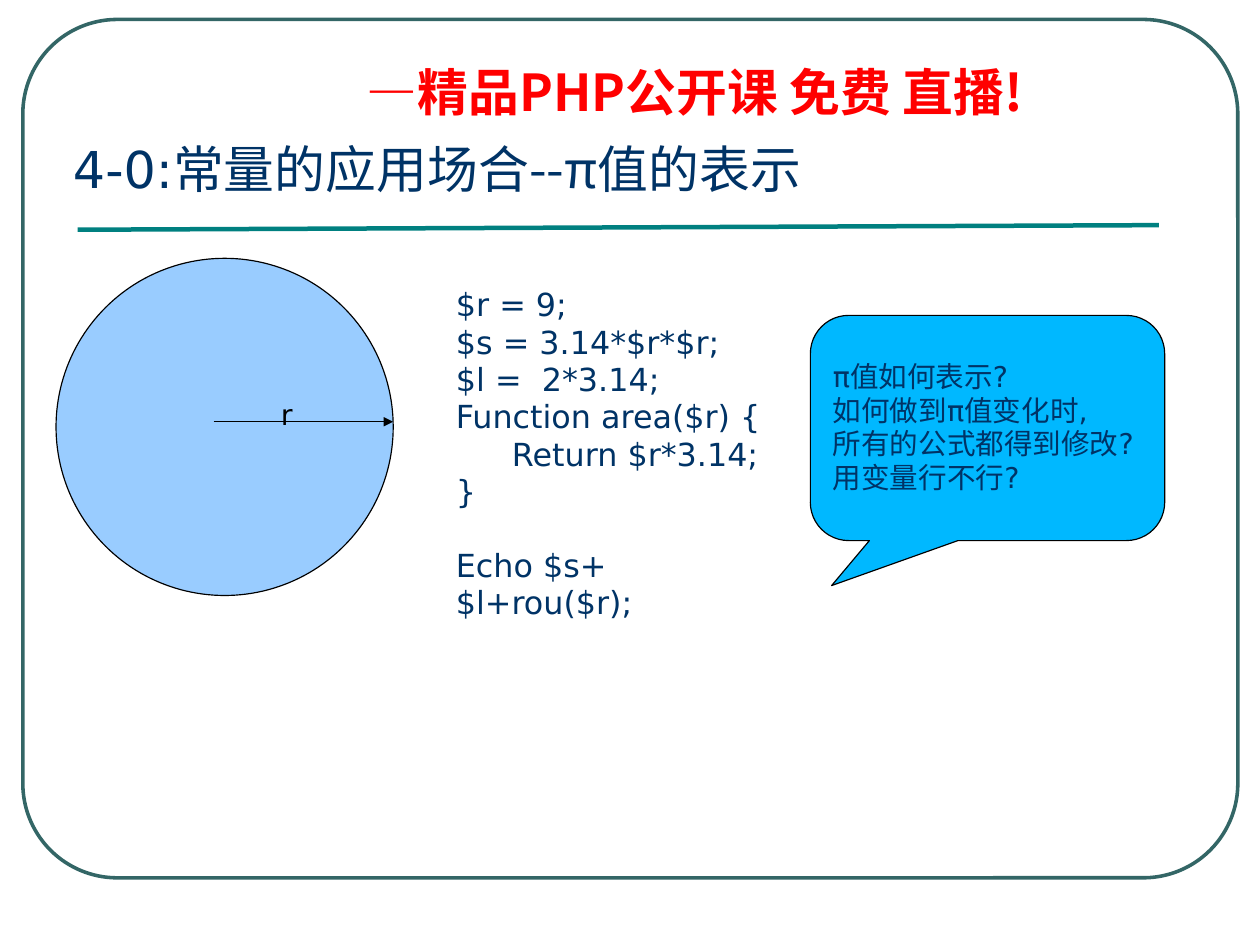
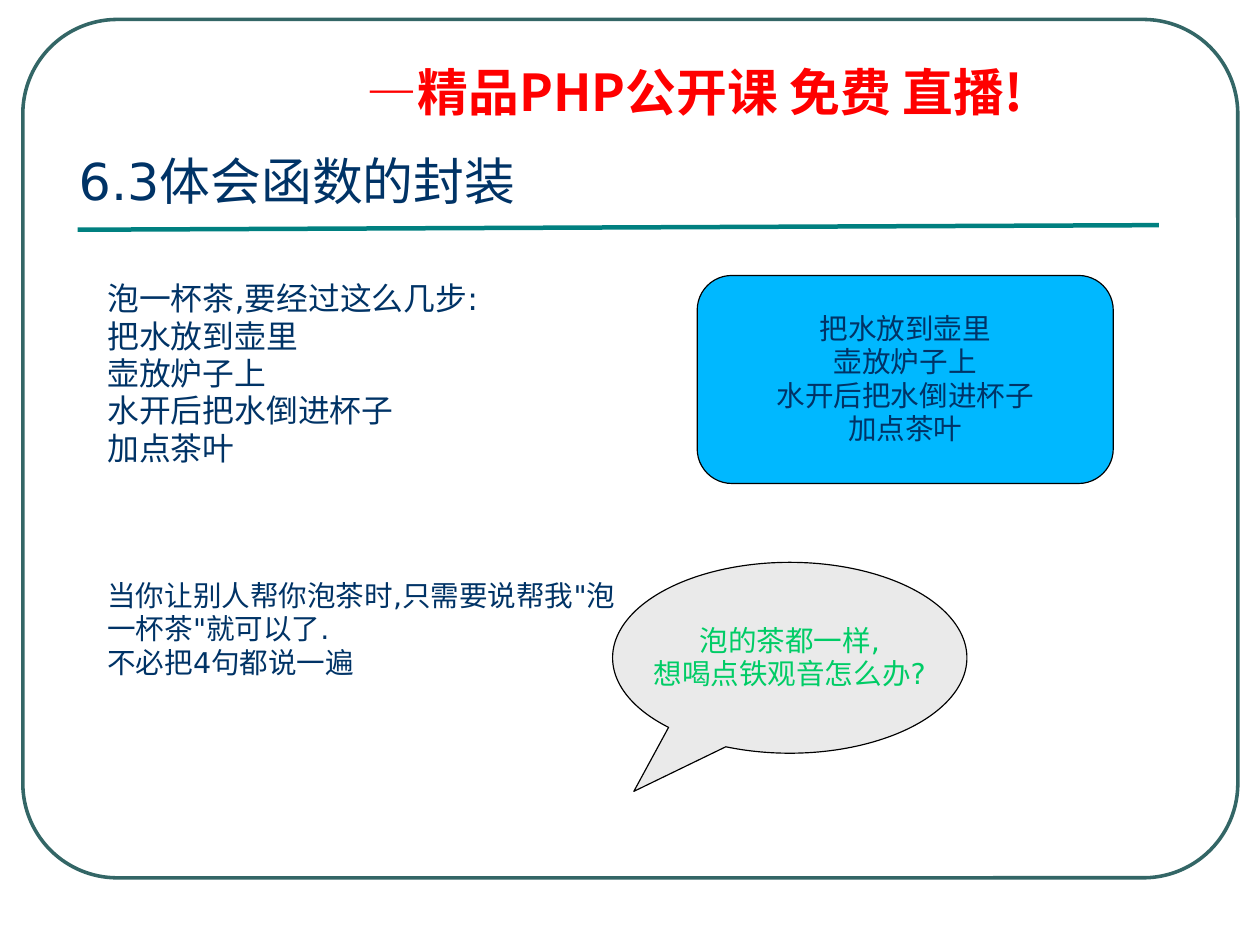
from lxml.etree import SubElement
from pptx import Presentation
from pptx.dml.color import RGBColor
from pptx.enum.shapes import MSO_CONNECTOR as Link, MSO_SHAPE as Kind
from pptx.enum.text import MSO_ANCHOR as Anchor, PP_ALIGN as Align
from pptx.oxml.ns import qn
from pptx.util import Inches, Pt

SANS = "DejaVu Sans"
CJK = "Noto Sans CJK SC"
NAVY, BLACK, RED = "003366", "000000", "FF0000"
TEAL, FRAME, SKY = "008080", "336666", "00B8FF"
PALE, GREY, GREEN = "99CCFF", "EAEAEA", "00CC66"
TAIL = (-0.44, 0.7)  # tip of both speech bubbles
WIDE, HIGH = 28 / 2.54, 21 / 2.54  # 28 by 21 cm, in inches


def color(code):
    return RGBColor.from_string(code)


def add_run(para, text, size, tint=NAVY, font=SANS, bold=False):
    run = para.add_run()
    run.text = text
    run.font.size = Pt(size)
    run.font.name = font
    run.font.bold = bold
    run.font.color.rgb = color(tint)
    SubElement(run._r.get_or_add_rPr(), qn("a:ea"), typeface=CJK)


def indent(para, left, first=0):
    props = para._p.get_or_add_pPr()
    props.set("marL", str(Inches(left)))
    props.set("indent", str(Inches(first)))


def write(frame, lines, size, tint=NAVY, align=Align.LEFT):
    """Put each line in a paragraph of its own and return the paragraphs."""
    paras = []
    for i, line in enumerate(lines):
        para = frame.add_paragraph() if i else frame.paragraphs[0]
        para.alignment = align
        para.line_spacing = 0.98
        add_run(para, line, size, tint)
        paras.append(para)
    return paras


def add_box(slide, x, y, w, h, anchor=Anchor.TOP):
    box = slide.shapes.add_textbox(Inches(x), Inches(y), Inches(w), Inches(h))
    frame = box.text_frame
    frame.word_wrap = True
    frame.vertical_anchor = anchor
    return frame


def add_form(slide, kind, x, y, w, h, fill=None, line=BLACK, width=0.75, adjust=()):
    form = slide.shapes.add_shape(kind, Inches(x), Inches(y), Inches(w), Inches(h))
    form.shadow.inherit = False
    if fill:
        form.fill.solid()
        form.fill.fore_color.rgb = color(fill)
    else:
        form.fill.background()
    form.line.color.rgb = color(line)
    form.line.width = Pt(width)
    for i, value in enumerate(adjust):
        form.adjustments[i] = value
    frame = form.text_frame
    frame.word_wrap = False
    frame.vertical_anchor = Anchor.MIDDLE
    return frame


def add_line(slide, start, end, tint, width, arrow=False):
    ends = [Inches(v) for v in (*start, *end)]
    line = slide.shapes.add_connector(Link.STRAIGHT, *ends)
    line.line.color.rgb = color(tint)
    line.line.width = Pt(width)
    if arrow:
        SubElement(line.line._get_or_add_ln(), qn("a:tailEnd"), type="triangle")
    SubElement(line._element.spPr, qn("a:effectLst"))


def add_page(deck):
    """Add a slide with the frame, rule and banner that all slides share."""
    slide = deck.slides.add_slide(deck.slide_layouts[6])
    add_form(slide, Kind.ROUNDED_RECTANGLE, 0.2, 0.17, 10.63, 7.51,
             line=FRAME, width=2.25, adjust=[0.11])
    add_line(slide, (0.68, 2.01), (10.14, 1.97), TEAL, 2.83)
    para = add_box(slide, 3.1, 0.54, 6.89, 0.58).paragraphs[0]
    indent(para, 0.38, -0.37)
    para.line_spacing = 0.9
    para.space_before = Pt(8.2)
    add_run(para, "—精品PHP公开课 免费 直播!", 32, RED, CJK, True)
    return slide


def show_pi(deck):
    slide = add_page(deck)
    title = write(add_box(slide, 0.54, 1.18, 9.06, 0.63), ["4-0:"], 32)[0]
    add_run(title, "常量的应用场合--π值的表示", 32, font=CJK)

    add_form(slide, Kind.OVAL, 0.49, 2.26, 2.95, 2.95, PALE)
    add_line(slide, (1.87, 3.69), (3.44, 3.69), BLACK, 0.75, arrow=True)
    write(add_box(slide, 2.36, 3.44, 0.39, 0.5), ["r"], 18, BLACK)

    code = write(add_box(slide, 3.89, 2.46, 2.95, 3.05), [
        "$r = 9;", "$s = 3.14*$r*$r;", "$l =  2*3.14;", "Function area($r) {",
        "Return $r*3.14;", "}", "Echo $s+$l+rou($r);"], 20)
    indent(code[4], 0.49)
    code[-1].space_before = Pt(23)

    bubble = add_form(slide, Kind.ROUNDED_RECTANGULAR_CALLOUT, 7.09, 2.76, 3.1, 1.97,
                      SKY, adjust=[*TAIL, 0.17])
    write(bubble, ["π值如何表示?", "如何做到π值变化时,",
                   "所有的公式都得到修改?", "用变量行不行?"], 18)


def show_tea(deck):
    slide = add_page(deck)
    write(add_box(slide, 0.59, 1.23, 7.78, 0.74, Anchor.MIDDLE), ["6.3体会函数的封装"], 32)

    steps = ["把水放到壶里", "壶放炉子上", "水开后把水倒进杯子", "加点茶叶"]
    write(add_box(slide, 0.84, 2.41, 3.79, 1.74), ["泡一杯茶,要经过这么几步:", *steps], 20)
    panel = add_form(slide, Kind.FLOWCHART_ALTERNATE_PROCESS, 6.1, 2.41, 3.64, 1.82, SKY)
    write(panel, steps, 18, align=Align.CENTER)

    write(add_box(slide, 0.84, 5.02, 4.75, 0.99), [
        '当你让别人帮你泡茶时,只需要说帮我"泡一杯茶"就可以了.', "不必把4句都说一遍"], 18)
    bubble = add_form(slide, Kind.OVAL_CALLOUT, 5.36, 4.92, 3.1, 1.67, GREY, adjust=TAIL)
    write(bubble, ["泡的茶都一样,", "想喝点铁观音怎么办?"], 18, GREEN, Align.CENTER)


def main():
    deck = Presentation()
    deck.slide_width = Inches(WIDE)
    deck.slide_height = Inches(HIGH)
    show_pi(deck)
    show_tea(deck)
    deck.save("out.pptx")


if __name__ == "__main__":
    main()
